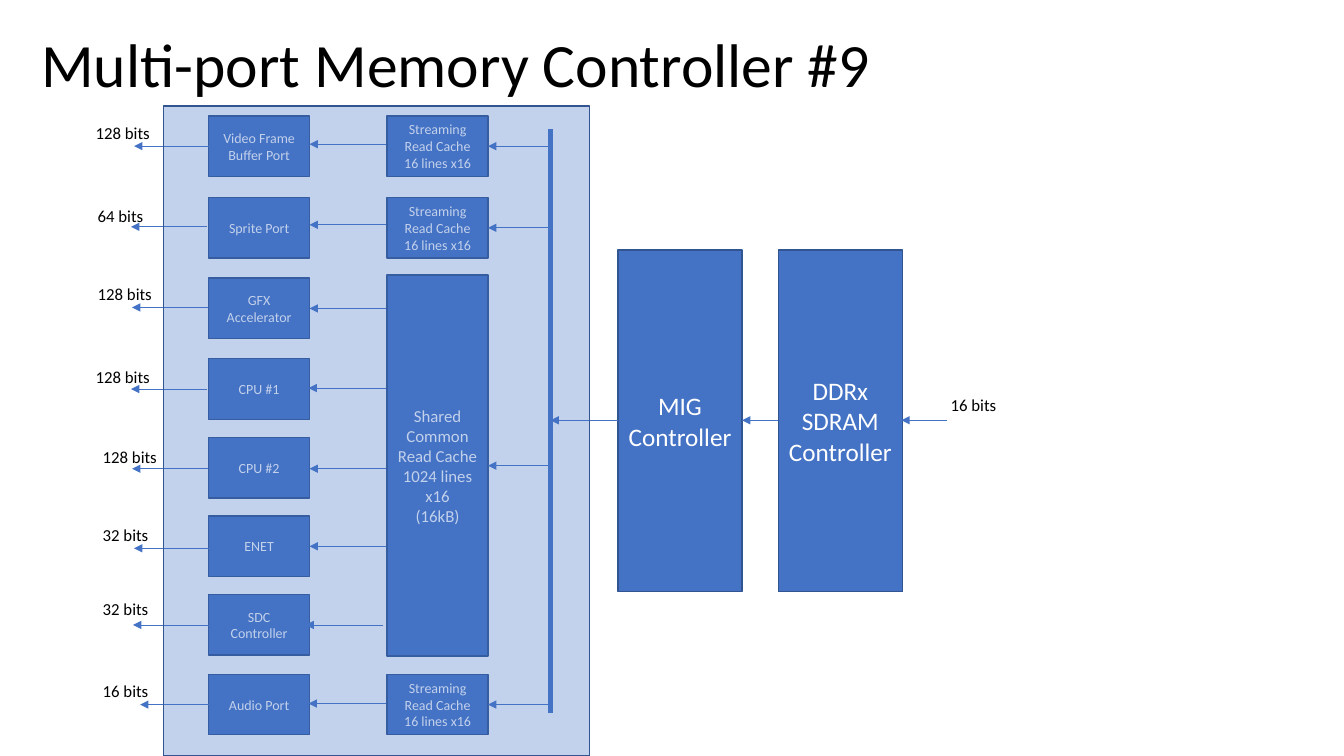
from lxml import etree
from pptx import Presentation
from pptx.dml.color import RGBColor
from pptx.enum.shapes import MSO_CONNECTOR as CONN, MSO_SHAPE as SHAPE
from pptx.enum.text import MSO_ANCHOR as ANCHOR, MSO_AUTO_SIZE as AUTO, PP_ALIGN as ALIGN
from pptx.oxml.ns import qn
from pptx.util import Inches, Pt

COLORS = {"blue": "4472C4", "edge": "325491", "white": "FFFFFF", "black": "000000"}
FONT = "Calibri"
PORT_X, CACHE_X, BUS_X = 2.07, 3.84, 5.46
BOX_W, BOX_H = 1, 0.6
BUS_Y = 4.17

PORTS = [
    ("Video Frame Buffer Port", 1.15, "128 bits", 0.85, 1.17, 2.07, 1.33, 1.45, 3.84, 1.43),
    ("Sprite Port", 1.96, "64 bits", 0.87, 1.99, 2.05, 1.3, 2.25, 3.84, 2.23),
    ("GFX Accelerator", 2.76, "128 bits", 0.87, 2.77, 2.06, 1.31, 3.05, 3.84, 3.06),
    ("CPU #1", 3.56, "128 bits", 0.85, 3.59, 2.05, 1.3, 3.86, 3.83, 3.85),
    ("CPU #2", 4.34, "128 bits", 0.92, 4.38, 2.06, 1.31, 4.65, 3.84, 4.65),
    ("ENET", 5.12, "32 bits", 0.92, 5.16, 2.07, 1.33, 5.44, 3.84, 5.42),
    ("SDC Controller", 5.9, "32 bits", 0.92, 5.89, 2.07, 1.32, 6.2, 3.8, 6.2),
    ("Audio Port", 6.69, "16 bits", 0.92, 6.7, 2.13, 1.39, 6.99, 3.83, 6.98),
]


class Diagram:
    def __init__(self, slide):
        self.s = slide

    def color(self, name):
        return RGBColor.from_string(COLORS[name])

    def set_text(self, tf, text, size, color, align):
        tf.text = text
        for p in tf.paragraphs:
            p.alignment = align
            for r in p.runs:
                r.font.name = FONT
                r.font.size = Pt(size)
                r.font.color.rgb = self.color(color)

    def title(self, text, x, y, w, h):
        sp = self.s.shapes.title
        sp.left, sp.top, sp.width, sp.height = map(Inches, (x, y, w, h))
        tf = sp.text_frame
        self.set_text(tf, text, 44, "black", ALIGN.LEFT)
        tf.vertical_anchor = ANCHOR.BOTTOM
        tf.auto_size = AUTO.NONE
        tf.paragraphs[0].line_spacing = 0.9

    def box(self, text, x, y, w, h, size=10, opacity=None):
        sp = self.s.shapes.add_shape(SHAPE.RECTANGLE, *map(Inches, (x, y, w, h)))
        sp.shadow.inherit = False
        sp.fill.solid()
        sp.fill.fore_color.rgb = self.color("blue")
        sp.line.color.rgb = self.color("edge")
        sp.line.width = Pt(1)
        if opacity:
            fill = sp._element.spPr.find(qn("a:solidFill"))
            etree.SubElement(fill[0], qn("a:alpha"), val=str(opacity * 1000))
        if text:
            sp.text_frame.vertical_anchor = ANCHOR.MIDDLE
            self.set_text(sp.text_frame, text, size, "white", ALIGN.CENTER)

    def label(self, text, x, y):
        width = 0.75 if len(text) > 7 else 0.66
        tf = self.s.shapes.add_textbox(*map(Inches, (x, y, width, 0.3))).text_frame
        tf.word_wrap = False
        tf.auto_size = AUTO.SHAPE_TO_FIT_TEXT
        self.set_text(tf, text, 12, "black", ALIGN.LEFT)

    def line(self, x1, y1, x2, y2, width=0.5, arrow=True):
        cn = self.s.shapes.add_connector(CONN.STRAIGHT, *map(Inches, (x1, y1, x2, y2)))
        cn.line.color.rgb = self.color("blue")
        cn.line.width = Pt(width)
        spPr = cn._element.spPr
        if arrow:
            etree.SubElement(spPr.find(qn("a:ln")), qn("a:tailEnd"), type="triangle")
        etree.SubElement(spPr, qn("a:effectLst"))

    def arrow(self, start, end, y):
        self.line(start, y, end, y)


def main():
    prs = Presentation()
    prs.slide_width, prs.slide_height = Inches(13.33), Inches(7.5)
    d = Diagram(prs.slides.add_slide(prs.slide_layouts[5]))
    d.title("Multi-port Memory Controller #9", 0.31, 0.14, 12.86, 0.91)

    for name, top, bits, bits_x, bits_y, out_x, out_end, out_y, in_x, in_y in PORTS:
        d.box(name, PORT_X, top, BOX_W, BOX_H)
        d.arrow(in_x, in_x - 0.77, in_y)
        d.arrow(out_x, out_end, out_y)
        d.label(bits, bits_x, bits_y)

    for top in (1.15, 1.96, 6.69):
        d.box("Streaming Read Cache\n16 lines x16", CACHE_X, top, BOX_W, BOX_H)
        d.arrow(BUS_X, CACHE_X + BOX_W, top + BOX_H / 2)
    d.box("Shared Common Read Cache\n1024 lines x16\n(16kB)", CACHE_X, 2.73, BOX_W, 3.78, 12)
    d.arrow(BUS_X, CACHE_X + BOX_W, 4.62)
    d.line(BUS_X, 1.28, BUS_X, 7.07, 3, arrow=False)

    for name, x in (("MIG Controller", 6.13), ("DDRx SDRAM Controller", 7.72)):
        d.box(name, x, 2.48, 1.23, 3.39, 18)
    for start, end in ((6.13, BUS_X), (7.72, 7.36), (9.39, 8.94)):
        d.arrow(start, end, BUS_Y)

    d.box("", 1.62, 1.05, 4.23, 6.45, opacity=32)
    d.label("16 bits", 9.33, 3.87)
    prs.save("out.pptx")


if __name__ == "__main__":
    main()
